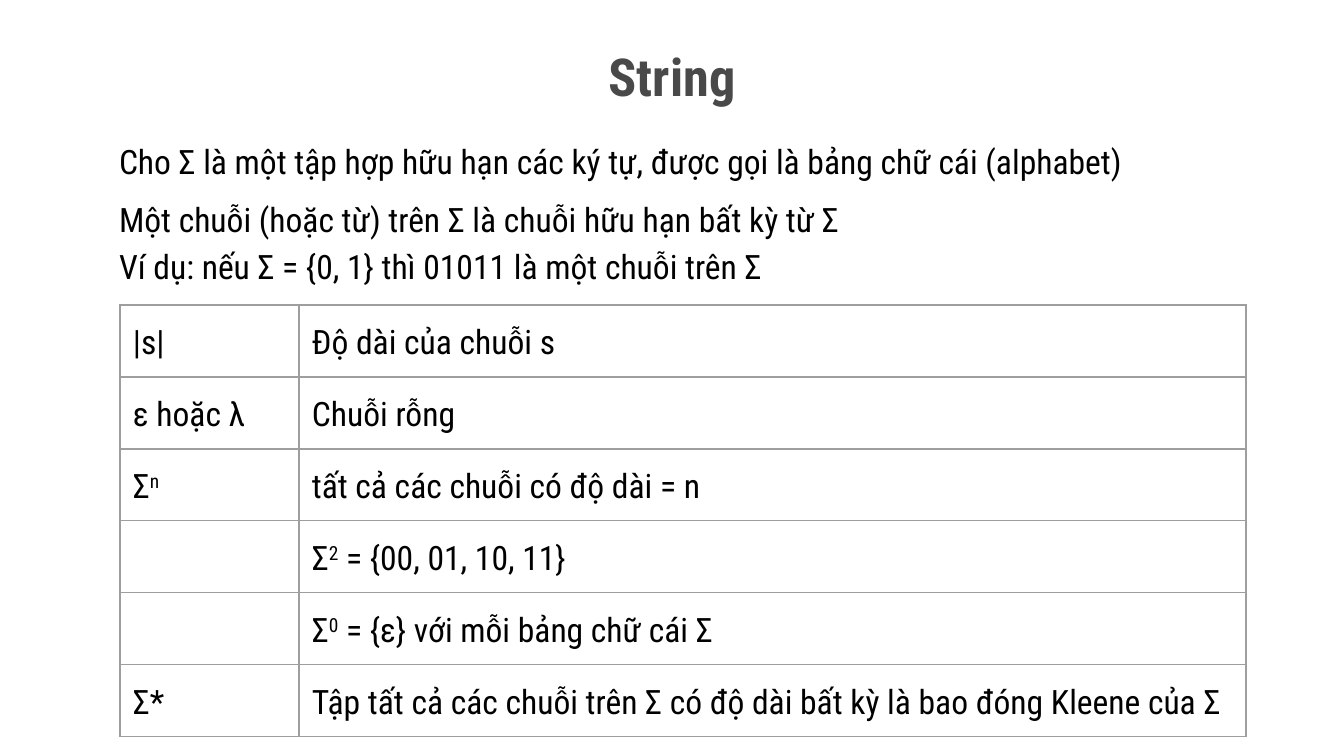
from lxml.etree import SubElement
from pptx import Presentation
from pptx.dml.color import RGBColor
from pptx.enum.text import MSO_ANCHOR, MSO_AUTO_SIZE, PP_ALIGN
from pptx.oxml.ns import qn
from pptx.util import Emu, Pt

FONT = "Roboto Condensed"
INSET = 13
ROW_HEIGHT = 72
COLUMN_WIDTHS = (179, 947)
INTRO = (
    ((106, 122, 1132, 67), ["Cho Σ là một tập hợp hữu hạn các ký tự, được gọi là bảng chữ cái (alphabet)"]),
    ((106, 180, 1132, 121), [
        "Một chuỗi (hoặc từ) trên Σ là chuỗi hữu hạn bất kỳ từ Σ",
        "Ví dụ: nếu Σ = {0, 1} thì 01011 là một chuỗi trên Σ",
    ]),
)
NOTATION = (
    ("|s|", "Độ dài của chuỗi s"),
    ("ε hoặc λ", "Chuỗi rỗng"),
    ("Σ^n", "tất cả các chuỗi có độ dài = n"),
    ("", "Σ^2^ = {00, 01, 10, 11}"),
    ("", "Σ^0^ = {ε} với mỗi bảng chữ cái Σ"),
    ("Σ*", "Tập tất cả các chuỗi trên Σ có độ dài bất kỳ là bao đóng Kleene của Σ"),
)


def px(length):
    """Turn whole pixels into EMU."""
    return Emu(round(length * 914400 / 134.4))


def colour(value):
    """Turn a hex string into a colour."""
    return RGBColor.from_string(value)


def apply(target, values):
    """Set attributes from a dict of format values."""
    for name, value in values.items():
        setattr(target, name, value)


def set_margins(target):
    """Give a text frame or cell the common inset."""
    apply(target, {f"margin_{side}": px(INSET) for side in ("left", "top", "right", "bottom")})


def write(para, text, size=18, ink="000000", bold=False, spacing=1.15, align=PP_ALIGN.LEFT):
    """Write one paragraph, raising the parts between carets."""
    apply(para, {"line_spacing": spacing, "alignment": align, "space_before": Pt(0), "space_after": Pt(0)})
    for index, part in enumerate(text.split("^")):
        if not part:
            continue
        span = para.add_run()
        span.text = part
        apply(span.font, {"name": FONT, "size": Pt(size), "bold": bold})
        span.font.color.rgb = colour(ink)
        if index % 2:
            span.font._element.set("baseline", "30000")


def set_frame(box):
    """Prepare the text frame of a box and return it."""
    frame = box.text_frame
    apply(frame, {"word_wrap": True, "auto_size": MSO_AUTO_SIZE.NONE, "vertical_anchor": MSO_ANCHOR.TOP})
    set_margins(frame)
    return frame


def add_title(page, text):
    """Move and fill the title placeholder."""
    title = page.shapes.title
    apply(title, {"left": px(106), "top": px(31), "width": px(1132), "height": px(85)})
    write(set_frame(title).paragraphs[0], text, 28, "494949", True, 1.0, PP_ALIGN.CENTER)


def add_text(page, place, lines):
    """Add a text box with one paragraph per line."""
    frame = set_frame(page.shapes.add_textbox(*map(px, place)))
    for index, line in enumerate(lines):
        write(frame.add_paragraph() if index else frame.paragraphs[0], line)


def add_borders(cell, ink="9E9E9E"):
    """Draw a thin line on every side of a cell."""
    properties = cell._tc.get_or_add_tcPr()
    for position, side in enumerate(("lnL", "lnR", "lnT", "lnB")):
        line = SubElement(properties, qn(f"a:{side}"), w=str(Pt(0.75)))
        fill = SubElement(line, qn("a:solidFill"))
        SubElement(fill, qn("a:srgbClr"), val=ink)
        properties.insert(position, line)


def add_notation(page, left, top):
    """Add the table of notation."""
    height = ROW_HEIGHT * len(NOTATION)
    place = map(px, (left, top, sum(COLUMN_WIDTHS), height))
    table = page.shapes.add_table(len(NOTATION), len(COLUMN_WIDTHS), *place).table
    apply(table, {"first_row": False, "horz_banding": False})
    for column, width in zip(table.columns, COLUMN_WIDTHS):
        column.width = px(width)
    for row, texts in zip(table.rows, NOTATION):
        row.height = px(ROW_HEIGHT)
        for cell, text in zip(row.cells, texts):
            set_margins(cell)
            cell.fill.background()
            add_borders(cell)
            write(cell.text_frame.paragraphs[0], text)


def main():
    """Build the slide and save it."""
    deck = Presentation()
    apply(deck, {"slide_width": px(1344), "slide_height": px(756)})
    page = deck.slides.add_slide(deck.slide_layouts[5])
    page.background.fill.solid()
    page.background.fill.fore_color.rgb = colour("FFFFFF")
    add_title(page, "String")
    for place, lines in INTRO:
        add_text(page, place, lines)
    add_notation(page, 120, 305)
    deck.save("out.pptx")


if __name__ == "__main__":
    main()
